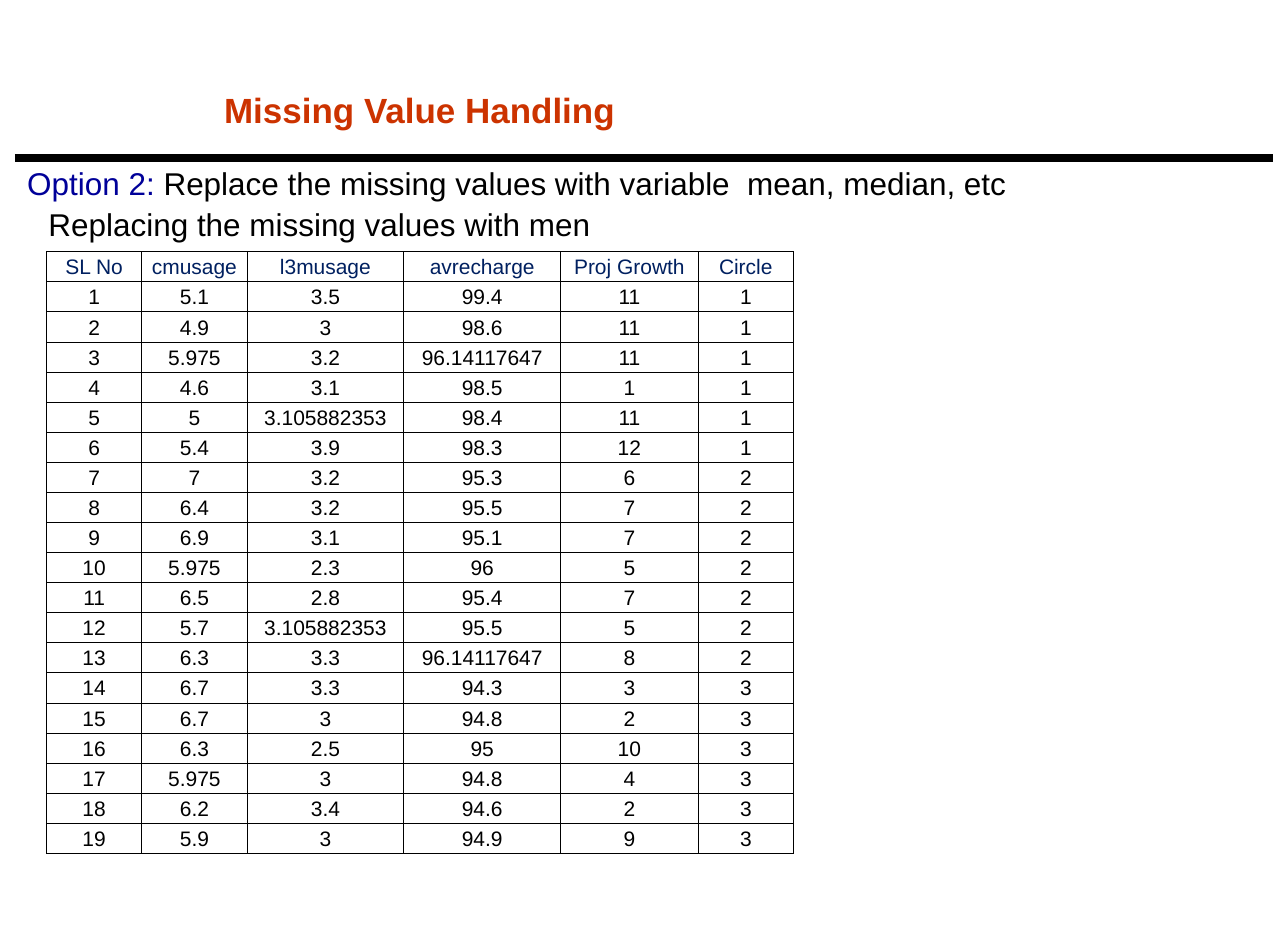
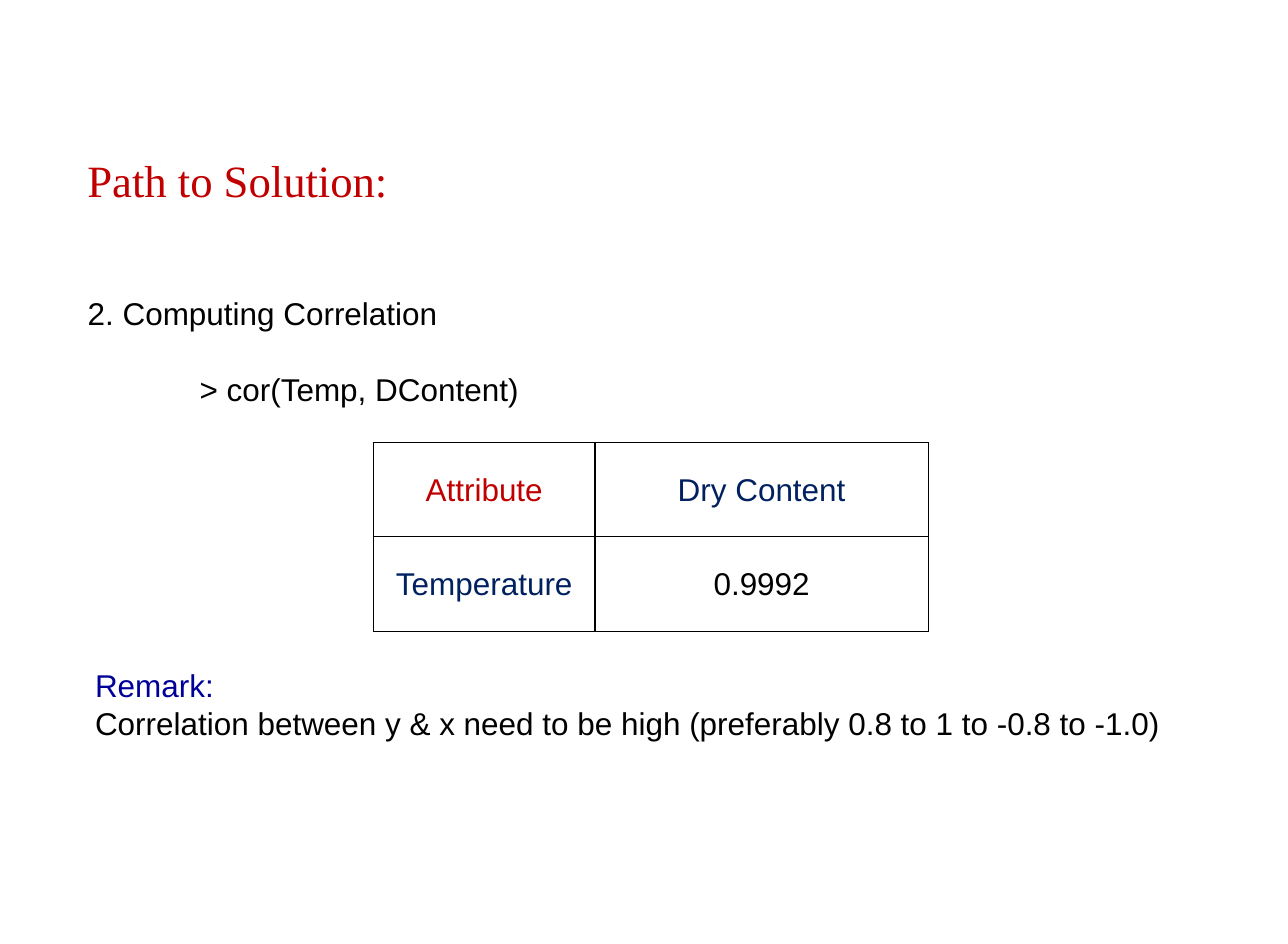
import lxml.etree
import pptx
import pptx.dml.color
import pptx.enum.shapes
import pptx.enum.text
import pptx.oxml.ns
import pptx.util

Cm = pptx.util.Cm
Pt = pptx.util.Pt
RGBColor = pptx.dml.color.RGBColor
Anchor = pptx.enum.text.MSO_ANCHOR
qn = pptx.oxml.ns.qn

BLACK = RGBColor(0x00, 0x00, 0x00)
ORANGE = RGBColor(0xCC, 0x33, 0x00)
RED = RGBColor(0xC0, 0x00, 0x00)
BLUE = RGBColor(0x00, 0x00, 0x99)
NAVY = RGBColor(0x00, 0x20, 0x60)


def format_runs(paragraph, size, colour, font="Arial", bold=False):
    for run in paragraph.runs:
        run.font.name = font
        run.font.size = Pt(size)
        run.font.bold = bold
        run.font.color.rgb = colour


def add_grid(slide, left, top, widths, height, rows, size, border):
    shape = slide.shapes.add_table(len(rows), len(widths), Cm(left), Cm(top), Cm(sum(widths)), Cm(height))
    table = shape.table
    table.first_row = False
    table.horz_banding = False
    for column, width in zip(table.columns, widths):
        column.width = Cm(width)
    for row_index, values in enumerate(rows):
        for column_index, value in enumerate(values):
            cell = table.cell(row_index, column_index)
            cell.text = value
            cell.vertical_anchor = Anchor.MIDDLE
            cell.margin_left = cell.margin_right = cell.margin_top = Cm(0.03)
            cell.margin_bottom = 0
            paragraph = cell.text_frame.paragraphs[0]
            paragraph.alignment = pptx.enum.text.PP_ALIGN.CENTER
            format_runs(paragraph, size, BLACK if row_index else NAVY)
            properties = cell._tc.get_or_add_tcPr()
            for side in ("a:lnL", "a:lnR", "a:lnT", "a:lnB"):
                line = lxml.etree.SubElement(properties, qn(side), w=str(Pt(border)))
                fill = lxml.etree.SubElement(line, qn("a:solidFill"))
                lxml.etree.SubElement(fill, qn("a:srgbClr"), val=str(BLACK))
            cell.fill.background()
    return table


presentation = pptx.Presentation()
presentation.slide_width = Cm(26)
presentation.slide_height = Cm(19.05)
title_only = presentation.slide_layouts[5]
missing_slide = presentation.slides.add_slide(title_only)
correlation_slide = presentation.slides.add_slide(title_only)

titles = [
    (missing_slide, "Missing Value Handling", (4.27, 1.65, 12.07, 2.41), Anchor.TOP, 20, ORANGE, "Arial", True),
    (correlation_slide, "Path to Solution:", (1.51, 2.93, 23.16, 1.37), Anchor.MIDDLE, 25.6, RED, "Times New Roman", False),
]
for slide, text, box, anchor, size, colour, font, bold in titles:
    title = slide.shapes.title
    title.left, title.top, title.width, title.height = map(Cm, box)
    title.text_frame.text = text
    title.text_frame.word_wrap = True
    title.text_frame.auto_size = pptx.enum.text.MSO_AUTO_SIZE.NONE
    title.text_frame.vertical_anchor = anchor
    paragraph = title.text_frame.paragraphs[0]
    paragraph.alignment = pptx.enum.text.PP_ALIGN.LEFT
    format_runs(paragraph, size, colour, font, bold)

rule = missing_slide.shapes.add_connector(
    pptx.enum.shapes.MSO_CONNECTOR.STRAIGHT, Cm(0.3), Cm(3.18), Cm(25.7), Cm(3.18))
rule.line.color.rgb = BLACK
rule.line.width = Pt(4.5)
lxml.etree.SubElement(rule._element.spPr, qn("a:effectLst"))

text_boxes = [
    (missing_slide, (0.3, 3.19, 25.4, 1.02), [
        [("Option 2: ", BLUE), ("Replace the missing values with variable  mean, median, etc", BLACK)],
    ]),
    (missing_slide, (0.73, 4.01, 22.02, 1.02), [[("Replacing the missing values with men", BLACK)]]),
    (correlation_slide, (1.52, 5.8, 23.16, 2.57), [
        [("2. Computing Correlation", BLACK)],
        [("> cor(Temp, DContent)", BLACK)],
    ]),
    (correlation_slide, (1.67, 13.32, 22.94, 1.78), [
        [("Remark:", BLUE)],
        [("Correlation between y & x need to be high (preferably 0.8 to 1 to -0.8 to -1.0)", BLACK)],
    ]),
]
for slide, box, paragraphs in text_boxes:
    text_frame = slide.shapes.add_textbox(*map(Cm, box)).text_frame
    text_frame.word_wrap = True
    for index, pieces in enumerate(paragraphs):
        paragraph = text_frame.add_paragraph() if index else text_frame.paragraphs[0]
        for text, colour in pieces:
            run = paragraph.add_run()
            run.text = text
            run.font.name = "Arial"
            run.font.size = Pt(18)
            run.font.color.rgb = colour
        if text.startswith(">"):
            paragraph.space_before = Pt(22)
            properties = paragraph._p.get_or_add_pPr()
            properties.set("marL", str(Cm(2.26)))
            properties.set("indent", "0")

usage_rows = [
    ("SL No", "cmusage", "l3musage", "avrecharge", "Proj Growth", "Circle"),
    ("1", "5.1", "3.5", "99.4", "11", "1"),
    ("2", "4.9", "3", "98.6", "11", "1"),
    ("3", "5.975", "3.2", "96.14117647", "11", "1"),
    ("4", "4.6", "3.1", "98.5", "1", "1"),
    ("5", "5", "3.105882353", "98.4", "11", "1"),
    ("6", "5.4", "3.9", "98.3", "12", "1"),
    ("7", "7", "3.2", "95.3", "6", "2"),
    ("8", "6.4", "3.2", "95.5", "7", "2"),
    ("9", "6.9", "3.1", "95.1", "7", "2"),
    ("10", "5.975", "2.3", "96", "5", "2"),
    ("11", "6.5", "2.8", "95.4", "7", "2"),
    ("12", "5.7", "3.105882353", "95.5", "5", "2"),
    ("13", "6.3", "3.3", "96.14117647", "8", "2"),
    ("14", "6.7", "3.3", "94.3", "3", "3"),
    ("15", "6.7", "3", "94.8", "2", "3"),
    ("16", "6.3", "2.5", "95", "10", "3"),
    ("17", "5.975", "3", "94.8", "4", "3"),
    ("18", "6.2", "3.4", "94.6", "2", "3"),
    ("19", "5.9", "3", "94.9", "9", "3"),
]
add_grid(missing_slide, 0.94, 5.08, (1.92, 2.13, 3.16, 3.17, 2.77, 1.93), 12.14, usage_rows, 12, 0.5)

correlation_rows = [("Attribute", "Dry Content"), ("Temperature", "0.9992")]
correlation_table = add_grid(correlation_slide, 7.54, 8.93, (4.47, 6.73), 3.81, correlation_rows, 18, 0.75)
for row_index, colour in enumerate((RED, NAVY)):
    format_runs(correlation_table.cell(row_index, 0).text_frame.paragraphs[0], 18, colour)

presentation.save("out.pptx")
